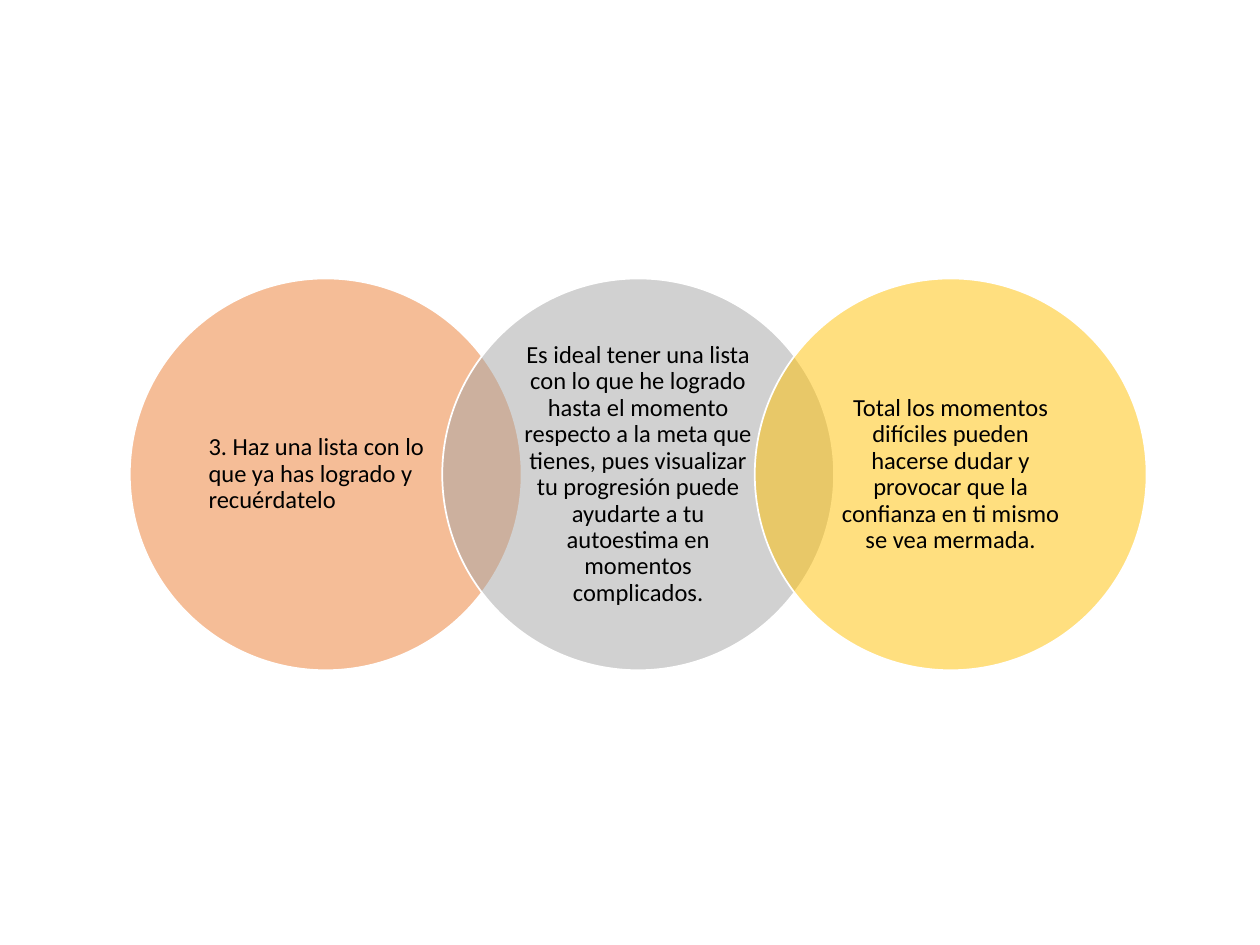
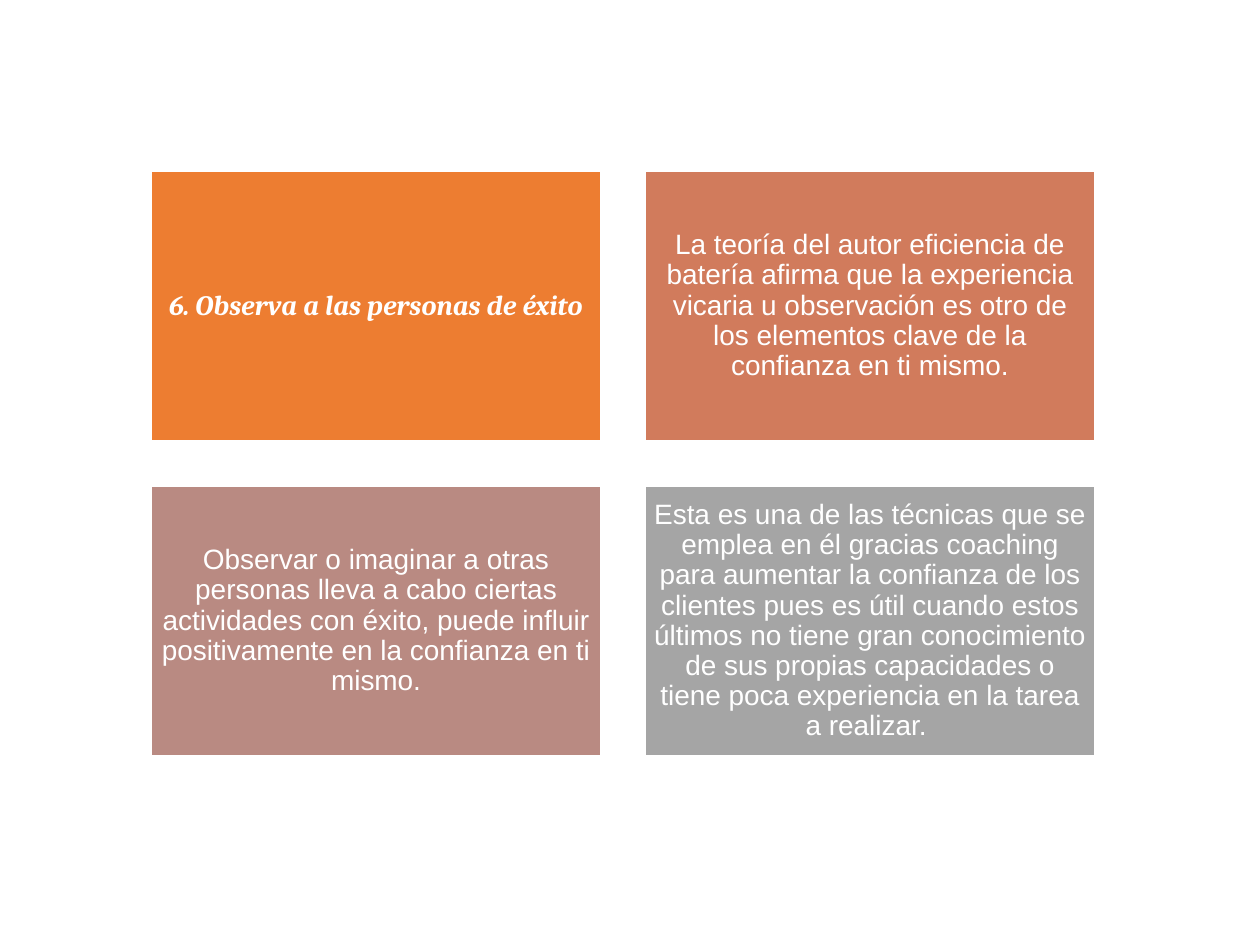
"""Build two slides on self-confidence: a row of linked circles and a grid of cards."""
import dataclasses

import pptx
import pptx.dml.color
import pptx.enum.shapes
import pptx.enum.text
import pptx.oxml.ns
import pptx.util
from lxml import etree

PX = 9144
SHAPE = pptx.enum.shapes.MSO_SHAPE
ALIGN = pptx.enum.text.PP_ALIGN


@dataclasses.dataclass(frozen=True)
class Theme:
    orange: str = "ED7D31"
    terracotta: str = "D17B5C"
    rose: str = "B98A82"
    gray: str = "A5A5A5"
    gold: str = "FFC000"
    white: str = "FFFFFF"
    black: str = "000000"
    circle_font: str = "Calibri"
    card_font: str = "Arial"
    heading_font: str = "Cambria"
    circle_size: int = 14
    card_size: int = 16
    outline: int = 1
    line_spacing: float = 0.9


THEME = Theme()


def rgb(value):
    return pptx.dml.color.RGBColor.from_string(value)


def add_block(s, kind, box, fill, insets, text, font, size, color, align=ALIGN.CENTER, heading=False):
    sp = s.shapes.add_shape(kind, *(v * PX for v in box))
    sp.shadow.inherit = False
    sp.fill.solid()
    sp.fill.fore_color.rgb = rgb(fill)
    sp.line.color.rgb = rgb(THEME.white)
    sp.line.width = pptx.util.Pt(THEME.outline)
    tf = sp.text_frame
    tf.word_wrap = True
    tf.vertical_anchor = pptx.enum.text.MSO_ANCHOR.MIDDLE
    tf.margin_left = tf.margin_right = insets[0] * PX
    tf.margin_top = tf.margin_bottom = insets[1] * PX
    p = tf.paragraphs[0]
    p.alignment = align
    p.line_spacing = THEME.line_spacing
    r = p.add_run()
    r.text = text
    r.font.name = font
    r.font.size = pptx.util.Pt(size)
    r.font.color.rgb = rgb(color)
    r.font.bold = r.font.italic = heading
    return sp


prs = pptx.Presentation()
prs.slide_width = 1000 * PX
prs.slide_height = 750 * PX
blank = prs.slide_layouts[6]

s = prs.slides.add_slide(blank)
circles = [
    (THEME.orange, ALIGN.LEFT, "3. Haz una lista con lo que ya has logrado y recuérdatelo"),
    (THEME.gray, ALIGN.CENTER,
     "Es ideal tener una lista con lo que he logrado hasta el momento respecto a la meta "
     "que tienes, pues visualizar tu progresión puede ayudarte a tu autoestima en momentos "
     "complicados."),
    (THEME.gold, ALIGN.CENTER,
     "Total los momentos difíciles pueden hacerse dudar y provocar que la confianza en ti "
     "mismo se vea mermada."),
]
for i, (fill, align, text) in enumerate(circles):
    sp = add_block(s, SHAPE.OVAL, (103 + i * 248, 221, 311, 311), fill, (17, 2), text,
                   THEME.circle_font, THEME.circle_size, THEME.black, align)
    color = sp.fill._xPr.find(pptx.oxml.ns.qn("a:solidFill"))[0]
    etree.SubElement(color, pptx.oxml.ns.qn("a:alpha"), val="50000")

s = prs.slides.add_slide(blank)
cards = [
    (THEME.orange, "6. Observa a las personas de éxito"),
    (THEME.terracotta,
     "La teoría del autor eficiencia de batería afirma que la experiencia vicaria u "
     "observación es otro de los elementos clave de la confianza en ti mismo."),
    (THEME.rose,
     "Observar o imaginar a otras personas lleva a cabo ciertas actividades con éxito, "
     "puede influir positivamente en la confianza en ti mismo."),
    (THEME.gray,
     "Esta es una de las técnicas que se emplea en él gracias coaching para aumentar la "
     "confianza de los clientes pues es útil cuando estos últimos no tiene gran "
     "conocimiento de sus propias capacidades o tiene poca experiencia en la tarea a "
     "realizar. "),
]
for i, (fill, text) in enumerate(cards):
    row, col = divmod(i, 2)
    heading = i == 0
    font = THEME.heading_font if heading else THEME.card_font
    add_block(s, SHAPE.RECTANGLE, (120 + col * 392, 136 + row * 250, 357, 214), fill, (7, 7), text,
              font, THEME.card_size, THEME.white, heading=heading)

prs.save("out.pptx")
